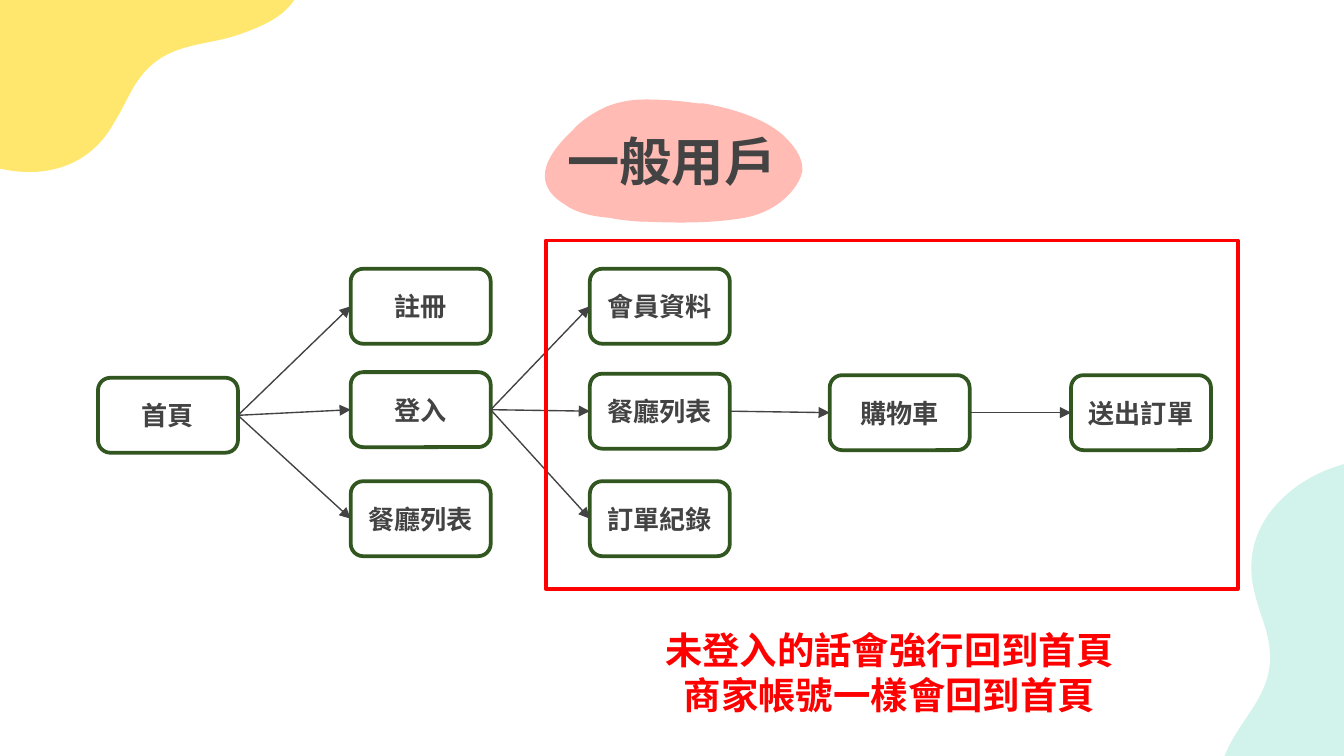
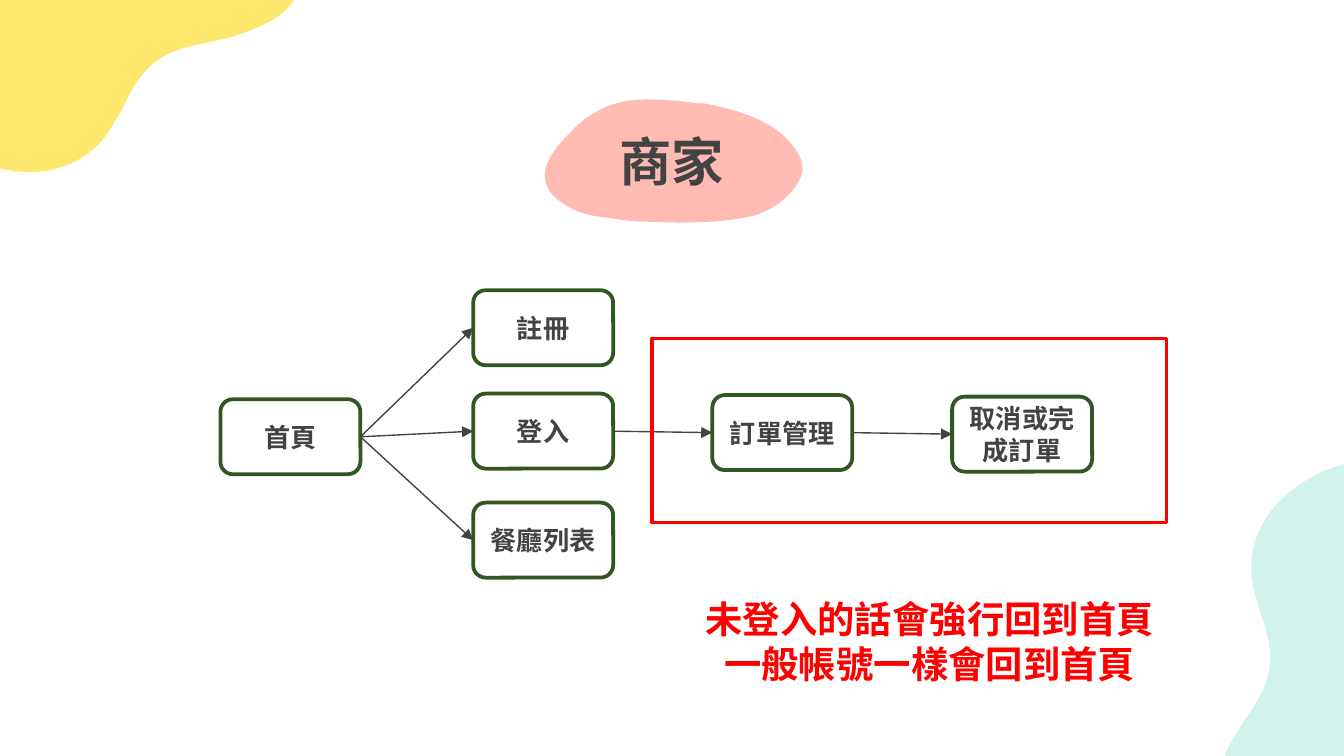
from dataclasses import dataclass
from lxml.etree import SubElement
from pptx import Presentation
from pptx.dml.color import RGBColor
from pptx.enum.shapes import MSO_CONNECTOR, MSO_SHAPE
from pptx.enum.text import MSO_ANCHOR, MSO_AUTO_SIZE, PP_ALIGN
from pptx.oxml.ns import qn
from pptx.util import Pt


@dataclass(frozen=True)
class Theme:
    font: str = "Noto Sans CJK SC"
    ink: RGBColor = RGBColor.from_string("434343")
    border: RGBColor = RGBColor.from_string("32561F")
    alert: RGBColor = RGBColor.from_string("FF0000")
    yellow: RGBColor = RGBColor.from_string("FFE76E")
    mint: RGBColor = RGBColor.from_string("D2F2EC")
    pink: RGBColor = RGBColor.from_string("FFBBB4")
    title_size: int = 28
    step_size: int = 14
    note_size: int = 20
    border_width: int = 2
    arrow_width: float = 0.75


theme = Theme()

blob_unit = Pt(0.72)
corner_blobs = [
    (theme.yellow, (22, 128), [
        (-32, 128, -91, 80, -78, 24), (-57, -18),
        (-29, -55, -68, -106, -16, -132), (0, -140, 20, -143, 41, -143),
        (93, -143, 154, -123, 183, -96), (204, -77, 231, -43, 224, -12),
        (219, 10, 197, 19, 177, 26), (153, 34, 129, 32, 110, 51),
        (98, 63, 94, 77, 85, 91), (71, 117, 47, 128, 22, 128)]),
    (theme.mint, (953, 372), [
        (991, 334, 1066, 327, 1096, 375), (1111, 420),
        (1118, 466, 1182, 474, 1163, 529), (1158, 545, 1146, 562, 1131, 577),
        (1094, 614, 1037, 643, 997, 645), (969, 646, 926, 641, 909, 614),
        (897, 595, 906, 573, 915, 554), (927, 531, 945, 516, 945, 489),
        (945, 472, 938, 459, 934, 443), (926, 414, 935, 390, 953, 372)]),
]
title_blob = (theme.pink, (524, 77), [
    (523, 77, 521, 77, 520, 77), (506, 75, 493, 74, 480, 74),
    (469, 74, 460, 76, 452, 79), (441, 84, 432, 90, 426, 97),
    (410, 112, 392, 135, 420, 152), (428, 158, 440, 161, 453, 162),
    (463, 164, 474, 165, 482, 165), (507, 166, 531, 166, 554, 162),
    (576, 158, 591, 144, 596, 131), (600, 121, 592, 109, 582, 100),
    (568, 88, 546, 81, 524, 77)])

step_width, step_height = 75, 40.2
column_lefts = [0, 135.4, 263.5, 392, 521.3]
entry_steps = [
    ("首頁", 0, 58.4, None),
    ("註冊", 1, 0, 0),
    ("登入", 1, 55.4, 0),
    ("餐廳列表", 1, 113.8, 0),
]
flows = [
    {
        "title": "一般用戶",
        "origin": (52.5, 144),
        "steps": [
            ("會員資料", 2, 0, 2),
            ("餐廳列表", 2, 56.2, 2),
            ("訂單紀錄", 2, 113.8, 2),
            ("購物車", 3, 57, 5),
            ("送出訂單", 4, 57, 7),
        ],
        "guarded": (292.3, 128.9, 370.8, 186.5),
        "note_at": (349.2, 332.6),
        "note": ["未登入的話會強行回到首頁", "商家帳號一樣會回到首頁"],
    },
    {
        "title": "商家",
        "origin": (118.1, 155.5),
        "steps": [
            ("訂單管理", 2, 56.2, 2),
            ("取消或完成訂單", 3, 57, 4),
        ],
        "guarded": (349.2, 181.4, 275.8, 98.6),
        "note_at": (370.8, 316.1),
        "note": ["未登入的話會強行回到首頁", "一般帳號一樣會回到首頁"],
    },
]


def write(frame, lines, size, color):
    for index, (text, align) in enumerate(lines):
        paragraph = frame.paragraphs[0] if index == 0 else frame.add_paragraph()
        paragraph.alignment = align
        run = paragraph.add_run()
        run.text = text
        run.font.name = theme.font
        run.font.size = Pt(size)
        run.font.bold = True
        run.font.color.rgb = color
        SubElement(run.font._element, qn("a:ea")).set("typeface", theme.font)


def draw_blob(shapes, color, start, segments):
    outline = shapes.build_freeform(*start, scale=blob_unit)
    for segment in segments:
        outline.add_line_segments(zip(segment[::2], segment[1::2]), close=False)
    blob = outline.convert_to_shape()
    corners = iter(list(blob._element.iter(qn("a:lnTo"))))
    for segment in segments:
        first = next(corners)
        if len(segment) == 6:
            first.tag = qn("a:cubicBezTo")
            for _ in range(2):
                corner = next(corners)
                first.append(corner[0])
                corner.getparent().remove(corner)
    SubElement(next(blob._element.iter(qn("a:path"))), qn("a:close"))
    blob.shadow.inherit = False
    blob.fill.solid()
    blob.fill.fore_color.rgb = color
    blob.line.fill.background()
    return blob


deck = Presentation()
deck.slide_width, deck.slide_height = Pt(720), Pt(405)
blank = deck.slide_layouts[6]
for placeholder in list(blank.placeholders):
    blank.shapes.element.remove(placeholder.element)

for flow in flows:
    slide = deck.slides.add_slide(blank)
    shapes = slide.shapes

    if flow is flows[0]:
        corners = [draw_blob(shapes, *blob) for blob in corner_blobs]
        for corner in corners:
            blank.shapes.element.append(corner.element)
    draw_blob(shapes, *title_blob)

    title = shapes.add_textbox(Pt(52.5), Pt(66.5), Pt(615), Pt(39)).text_frame
    title.word_wrap = True
    title.vertical_anchor = MSO_ANCHOR.MIDDLE
    write(title, [(flow["title"], PP_ALIGN.CENTER)], theme.title_size, theme.ink)

    left, top = flow["origin"]
    steps = []
    for label, column, drop, previous in entry_steps + flow["steps"]:
        step = shapes.add_shape(
            MSO_SHAPE.ROUNDED_RECTANGLE, Pt(left + column_lefts[column]),
            Pt(top + drop), Pt(step_width), Pt(step_height))
        step.shadow.inherit = False
        step.fill.background()
        step.line.color.rgb = theme.border
        step.line.width = Pt(theme.border_width)
        step.text_frame.word_wrap = True
        step.text_frame.vertical_anchor = MSO_ANCHOR.MIDDLE
        write(step.text_frame, [(label, PP_ALIGN.CENTER)], theme.step_size, theme.ink)
        steps.append(step)
        if previous is None:
            continue
        arrow = shapes.add_connector(MSO_CONNECTOR.STRAIGHT, 0, 0, 0, 0)
        arrow.begin_connect(steps[previous], 3)
        arrow.end_connect(step, 1)
        arrow.line.color.rgb = theme.ink
        arrow.line.width = Pt(theme.arrow_width)
        SubElement(arrow.line._get_or_add_ln(), qn("a:tailEnd")).set("type", "triangle")
        SubElement(arrow._element.spPr, qn("a:effectLst"))

    guarded = shapes.add_shape(MSO_SHAPE.RECTANGLE, *map(Pt, flow["guarded"]))
    guarded.shadow.inherit = False
    guarded.fill.background()
    guarded.line.color.rgb = theme.alert
    guarded.line.width = Pt(theme.border_width)

    note = shapes.add_textbox(*map(Pt, flow["note_at"]), Pt(257), Pt(55.5)).text_frame
    note.word_wrap = False
    note.auto_size = MSO_AUTO_SIZE.SHAPE_TO_FIT_TEXT
    write(note, zip(flow["note"], (PP_ALIGN.LEFT, PP_ALIGN.CENTER)),
          theme.note_size, theme.alert)

deck.save("out.pptx")
